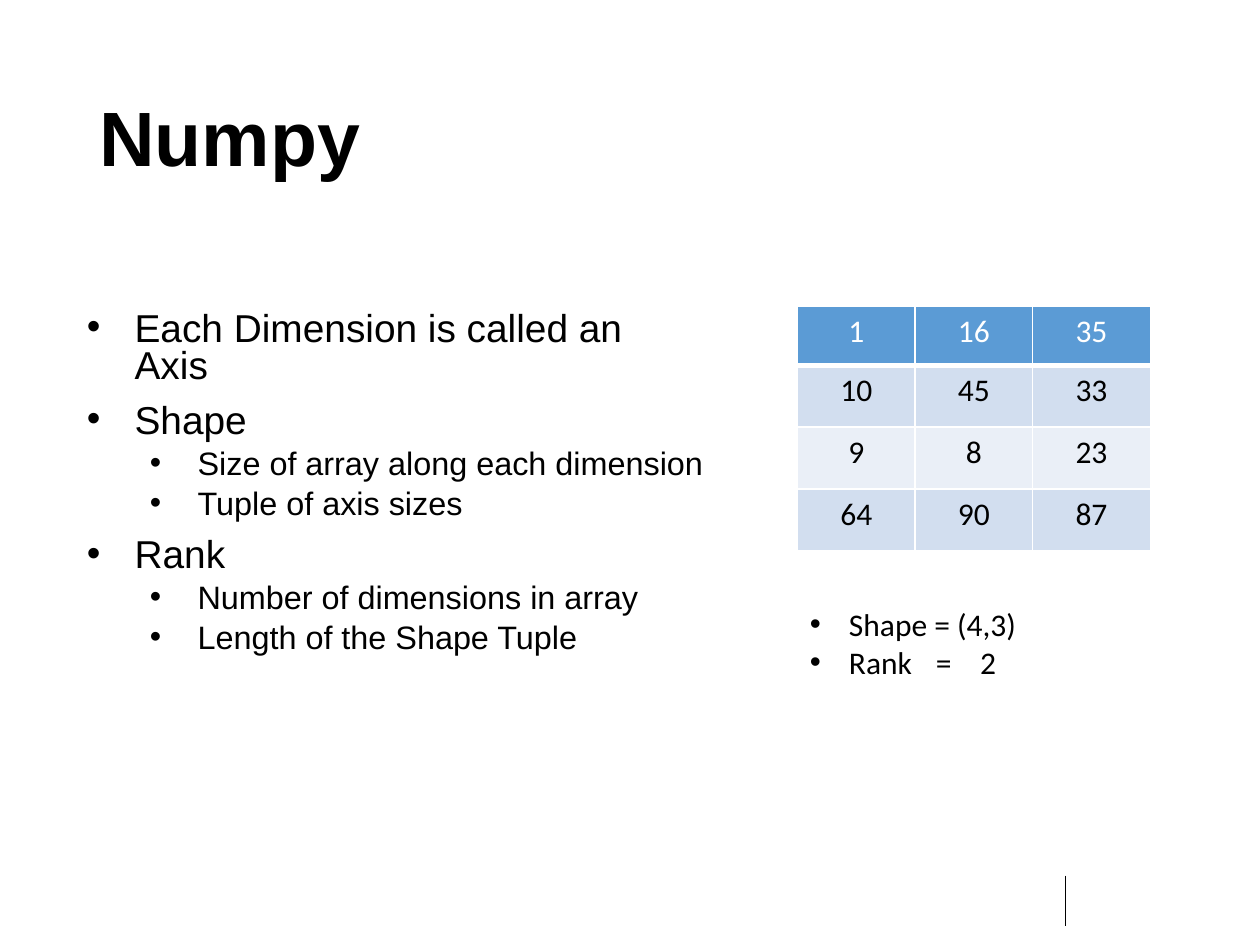
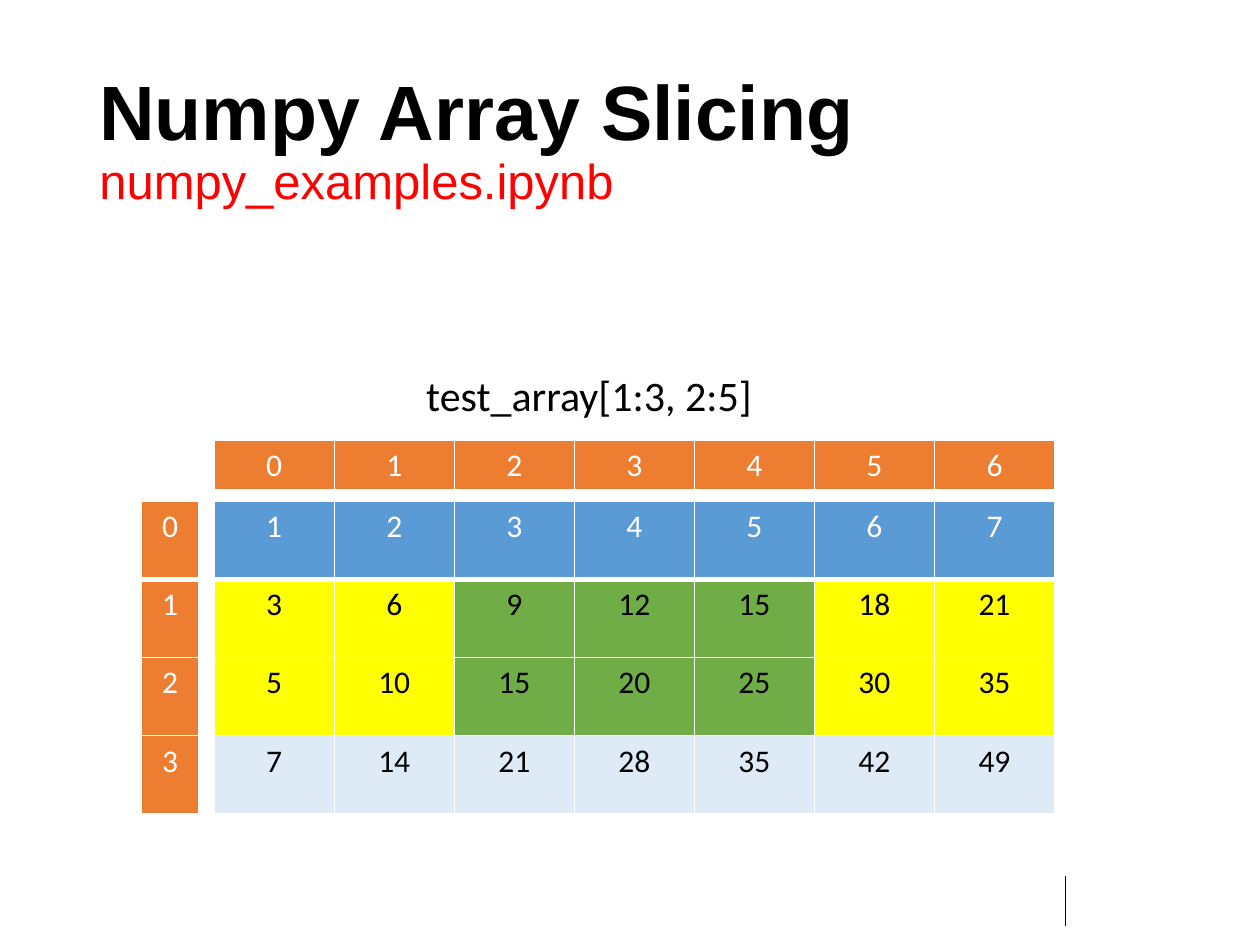
"""Build two slides on array shape and array slicing."""
from dataclasses import dataclass
from typing import Any, Callable

from lxml import etree
from pptx import Presentation
from pptx.dml.color import RGBColor
from pptx.enum.shapes import MSO_CONNECTOR
from pptx.enum.text import MSO_ANCHOR, PP_ALIGN
from pptx.oxml.ns import qn
from pptx.util import Inches, Pt

LINE = MSO_CONNECTOR.STRAIGHT
MIDDLE, TOP = MSO_ANCHOR.MIDDLE, MSO_ANCHOR.TOP
CENTER, LEFT = PP_ALIGN.CENTER, PP_ALIGN.LEFT
Box = tuple[float, float, float, float]


@dataclass(frozen=True)
class Theme:
    sans: str = "Arial"
    plain: str = "Calibri"
    black: str = "000000"
    white: str = "FFFFFF"
    red: str = "FF0000"
    blue: str = "5B9BD5"
    orange: str = "ED7D31"
    yellow: str = "FFFF00"
    green: str = "70AD47"
    dark_band: str = "D2DEEF"
    light_band: str = "EAEFF7"
    pale: str = "DEEBF7"
    title: float = 44
    file: float = 28
    point: float = 22.2
    detail: float = 18.5
    cell: float = 18
    label: float = 24


THEME = Theme()


@dataclass(frozen=True)
class Run:
    text: str
    size: float
    font: str = THEME.plain
    color: str = THEME.black
    bold: bool = False


@dataclass(frozen=True)
class Para:
    runs: tuple[Run, ...]
    align: Any = LEFT
    indent: float = 0
    hang: float = 0
    line: float = 1
    before: float = 0
    level: int = 0
    tabs: tuple[float, ...] = ()


@dataclass(frozen=True)
class Grid:
    left: float
    top: float
    width: float
    heights: tuple[float, ...]
    rows: list[list[int]]
    fill: Callable[[int, int], str]


def add_run(para: Any, run: Run) -> None:
    """Append one styled run."""
    item = para.add_run()
    item.text = run.text
    font = item.font
    font.name, font.size, font.bold = run.font, Pt(run.size), run.bold
    font.color.rgb = RGBColor.from_string(run.color)


def add_bullet(para: Any, spec: Para) -> None:
    """Give a paragraph its hanging bullet and tab stops."""
    props = para._p.get_or_add_pPr()
    props.set("marL", str(Inches(spec.indent)))
    props.set("indent", str(-Inches(spec.hang)))
    etree.SubElement(props, qn("a:buFont"), typeface=THEME.sans)
    etree.SubElement(props, qn("a:buChar"), char="•")
    if spec.tabs:
        stops = etree.SubElement(props, qn("a:tabLst"))
        for stop in spec.tabs:
            etree.SubElement(stops, qn("a:tab"), pos=str(Inches(stop)), algn="l")


def add_text(slide: Any, box: Box, paras: list[Para], anchor: Any = TOP) -> None:
    """Draw a wrapped text box."""
    frame = slide.shapes.add_textbox(*map(Inches, box)).text_frame
    frame.word_wrap = True
    frame.vertical_anchor = anchor
    for i, spec in enumerate(paras):
        para = frame.add_paragraph() if i else frame.paragraphs[0]
        para.alignment, para.level = spec.align, spec.level
        para.line_spacing = spec.line
        para.space_before = Pt(spec.before if i else 0)
        if spec.hang:
            add_bullet(para, spec)
        for j, run in enumerate(spec.runs):
            if j:
                para.add_line_break()
            add_run(para, run)


def add_edges(cell: Any, base: float) -> None:
    """Rule the four sides of a cell in white."""
    props = cell._tc.get_or_add_tcPr()
    for side, width in (("L", 1), ("R", 1), ("T", 1), ("B", base)):
        edge = etree.SubElement(props, qn(f"a:ln{side}"), w=str(Pt(width)))
        solid = etree.SubElement(edge, qn("a:solidFill"))
        etree.SubElement(solid, qn("a:srgbClr"), val=THEME.white)


def add_grid(slide: Any, grid: Grid) -> None:
    """Draw a table of numbers with filled cells."""
    count = len(grid.rows[0])
    size = (grid.left, grid.top, grid.width, sum(grid.heights))
    table = slide.shapes.add_table(len(grid.rows), count, *map(Inches, size)).table
    table.first_row = table.horz_banding = False
    for col in table.columns:
        col.width = Inches(grid.width / count)
    for r, (values, height) in enumerate(zip(grid.rows, grid.heights)):
        table.rows[r].height = Inches(height)
        for c, value in enumerate(values):
            cell, fill = table.cell(r, c), grid.fill(r, c)
            add_edges(cell, 1 if r else 3)
            cell.fill.solid()
            cell.fill.fore_color.rgb = RGBColor.from_string(fill)
            para = cell.text_frame.paragraphs[0]
            para.alignment = CENTER
            strong = fill in (THEME.blue, THEME.orange)
            color = THEME.white if strong else THEME.black
            add_run(para, Run(str(value), THEME.cell, color=color))


def add_slide(deck: Any, title: str, file: str = "") -> Any:
    """Add a slide with its title and footer rule."""
    slide = deck.slides.add_slide(deck.slide_layouts[6])
    rule = slide.shapes.add_connector(LINE, *map(Inches, (8.46, 6.95, 8.46, 7.35)))
    rule.line.width = Pt(0.5)
    rule.line.color.rgb = RGBColor.from_string(THEME.black)
    etree.SubElement(rule._element.spPr, qn("a:effectLst"))
    runs = [Run(title, THEME.title, THEME.sans, bold=True)]
    if file:
        runs.append(Run(file, THEME.file, THEME.sans, THEME.red))
    add_text(slide, (0.69, 0.4, 8.62, 1.45), [Para(tuple(runs), line=0.9)], MIDDLE)
    return slide


def point(text: str) -> Para:
    """Make a main bullet."""
    run = Run(text, THEME.point, THEME.sans)
    return Para((run,), indent=0.38, hang=0.38, line=0.8, before=10)


def detail(text: str) -> Para:
    """Make a second-level bullet."""
    run = Run(text, THEME.detail, THEME.sans)
    return Para((run,), indent=0.88, hang=0.38, line=0.8, before=5, level=1)


def fact(text: str, *tabs: float) -> Para:
    """Make a bullet for the table's own measures."""
    return Para((Run(text, THEME.cell),), indent=0.31, hang=0.31, tabs=tabs)


def shape_fill(row: int, col: int) -> str:
    """Colour the head row, then alternate bands."""
    if row == 0:
        return THEME.blue
    return THEME.dark_band if row % 2 else THEME.light_band


def slice_fill(row: int, col: int) -> str:
    """Colour the chosen rows, and the cells in the slice."""
    if row in range(1, 3):
        return THEME.green if col in range(2, 5) else THEME.yellow
    return THEME.pale if row else THEME.blue


def index_fill(row: int, col: int) -> str:
    """Colour every index cell alike."""
    return THEME.orange


def build_shape(deck: Any) -> None:
    """Build the slide on axes, shape and rank."""
    slide = add_slide(deck, "Numpy")
    add_text(slide, (0.59, 2.43, 5.09, 2.92), [
        point("Each Dimension is called an Axis"),
        point("Shape"),
        detail("Size of array along each dimension"),
        detail("Tuple of axis sizes"),
        point("Rank"),
        detail("Number of dimensions in array"),
        detail("Length of the Shape Tuple"),
    ])
    rows = [[1, 16, 35], [10, 45, 33], [9, 8, 23], [64, 90, 87]]
    add_grid(slide, Grid(6.33, 2.43, 2.8, (0.47, 0.49, 0.49, 0.49), rows, shape_fill))
    add_text(slide, (6.33, 4.75, 2.8, 0.71),
             [fact("Shape = (4,3)"), fact("Rank\t=\t2", 1, 1.35)])


def build_slice(deck: Any) -> None:
    """Build the slide on slicing."""
    slide = add_slide(deck, "Numpy Array Slicing", "numpy_examples.ipynb")
    left, top, width, heights = 1.7, 3.98, 6.67, (0.62,) * 4
    rows = [[step * n for n in range(1, 8)] for step in (1, 3, 5, 7)]
    add_grid(slide, Grid(left, top, width, heights, rows, slice_fill))
    add_grid(slide, Grid(left, 3.49, width, (0.41,), [list(range(7))], index_fill))
    marks = [[n] for n in range(4)]
    add_grid(slide, Grid(1.12, top, 0.46, heights, marks, index_fill))
    label = Run("test_array[1:3, 2:5]", THEME.label)
    add_text(slide, (2.15, 2.88, 5.05, 0.5), [Para((label,), CENTER)])


def main() -> None:
    """Build and save the deck."""
    deck = Presentation()
    deck.slide_width, deck.slide_height = Inches(10), Inches(7.5)
    build_shape(deck)
    build_slice(deck)
    deck.save("out.pptx")


if __name__ == "__main__":
    main()
